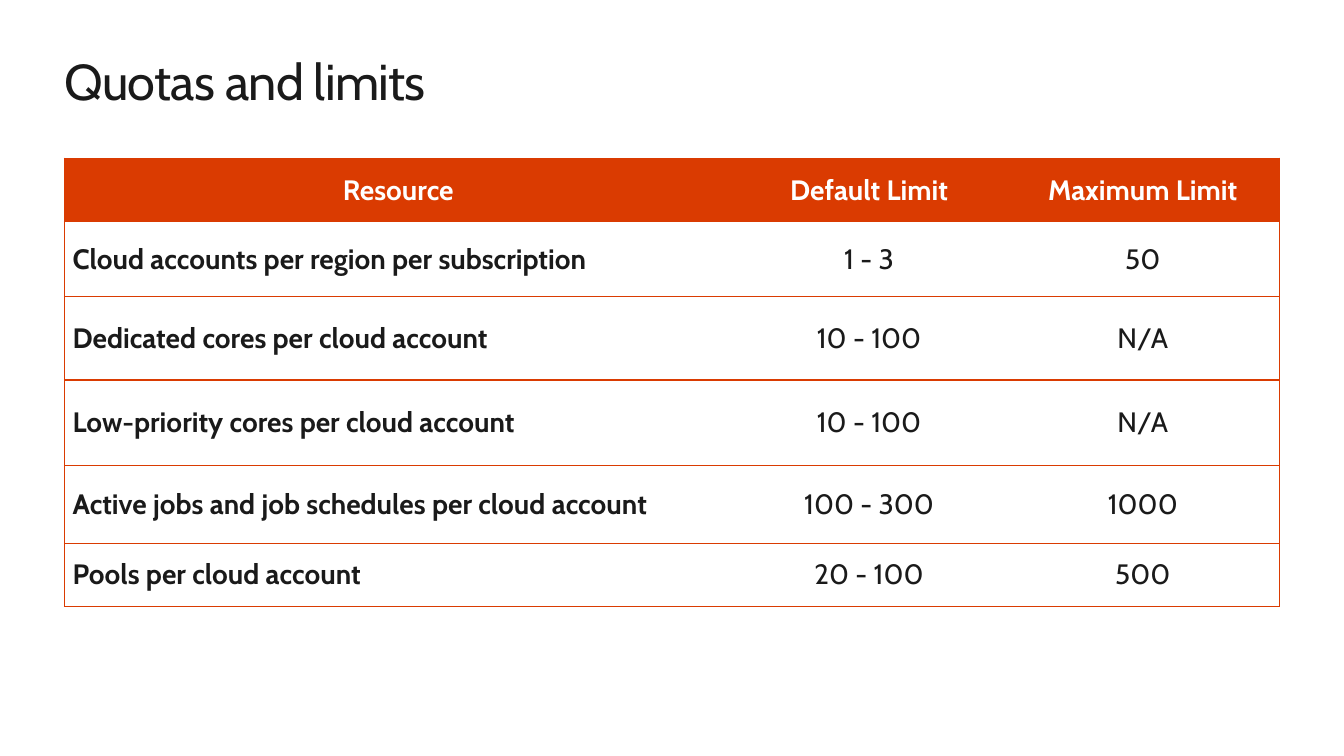
from pptx import Presentation
from pptx.dml.color import RGBColor
from pptx.enum.text import MSO_ANCHOR, PP_ALIGN
from pptx.oxml import parse_xml
from pptx.oxml.ns import nsdecls
from pptx.util import Inches, Pt

ORANGE = RGBColor(0xDA, 0x3B, 0x01)
INK = RGBColor(0x1A, 0x1A, 0x1A)
WHITE = RGBColor(0xFF, 0xFF, 0xFF)
FONT = "Cabin"

ROWS = [
    ("Resource", "Default Limit", "Maximum Limit"),
    ("Cloud accounts per region per subscription", "1 - 3", "50"),
    ("Dedicated cores per cloud account", "10 - 100", "N/A"),
    ("Low-priority cores per cloud account", "10 - 100", "N/A"),
    ("Active jobs and job schedules per cloud account", "100 - 300", "1000"),
    ("Pools per cloud account", "20 - 100", "500"),
]
COLUMN_WIDTHS = [6.62, 2.72, 2.71]
ROW_HEIGHTS = [0.63, 0.74, 0.83, 0.85, 0.77, 0.63]


def style_font(font, size, color, bold=False):
    font.name = FONT
    font.size = Pt(size)
    font.bold = bold
    font.color.rgb = color


def add_border(cell, side, visible):
    fill = f'<a:solidFill><a:srgbClr val="{ORANGE}"/></a:solidFill>' if visible else "<a:noFill/>"
    cell._tc.get_or_add_tcPr().append(
        parse_xml(f'<a:ln{side} {nsdecls("a")} w="{Pt(1)}">{fill}</a:ln{side}>'))


deck = Presentation()
deck.slide_width = Inches(13.33)
deck.slide_height = Inches(7.5)
page = deck.slides.add_slide(deck.slide_layouts[6])

# Title
title = page.shapes.add_textbox(Inches(0.64), Inches(0.5), Inches(12.05), Inches(0.61))
frame = title.text_frame
frame.word_wrap = True
frame.margin_left = frame.margin_right = frame.margin_top = frame.margin_bottom = 0
para = frame.paragraphs[0]
span = para.add_run()
span.text = "Quotas and limits"
span.font._element.set("spc", "-50")
style_font(para.font, 36, INK)

# Limits table
table = page.shapes.add_table(
    len(ROWS), len(COLUMN_WIDTHS),
    Inches(0.64), Inches(1.57), Inches(12.05), Inches(4.44)).table
for column, width in zip(table.columns, COLUMN_WIDTHS):
    column.width = Inches(width)
for row, height in zip(table.rows, ROW_HEIGHTS):
    row.height = Inches(height)

for row_index, texts in enumerate(ROWS):
    is_header = row_index == 0
    for column_index, text in enumerate(texts):
        is_first = column_index == 0
        is_last = column_index == len(texts) - 1
        cell = table.cell(row_index, column_index)
        cell.vertical_anchor = MSO_ANCHOR.MIDDLE
        cell.margin_left = cell.margin_right = Inches(0.02)
        cell.margin_top = cell.margin_bottom = Inches(0.02)

        # Outer frame and horizontal rules only
        for side, visible in (("L", is_first), ("R", is_last), ("T", True), ("B", True)):
            add_border(cell, side, visible)
        if is_header:
            cell.fill.solid()
            cell.fill.fore_color.rgb = ORANGE
        else:
            cell.fill.background()

        cell.text = text
        para = cell.text_frame.paragraphs[0]
        if is_first and not is_header:
            para.alignment = PP_ALIGN.LEFT
            para._p.get_or_add_pPr().set("marL", str(Inches(0.06)))
        else:
            para.alignment = PP_ALIGN.CENTER
        style_font(para.font, 20, WHITE if is_header else INK, is_header or is_first)

deck.save("out.pptx")
